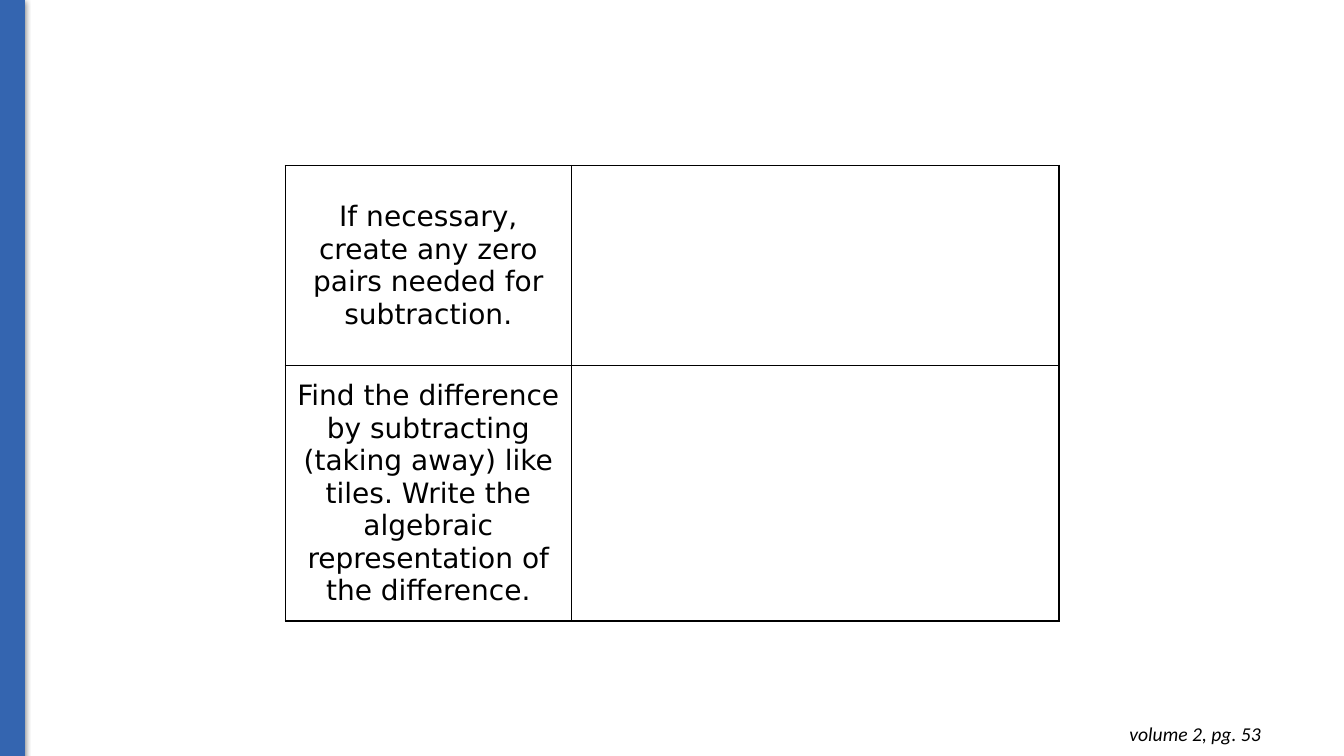
from dataclasses import dataclass

from lxml.etree import SubElement
from pptx import Presentation
from pptx.dml.color import RGBColor
from pptx.enum.shapes import MSO_SHAPE
from pptx.enum.text import MSO_ANCHOR, MSO_AUTO_SIZE, PP_ALIGN
from pptx.oxml import parse_xml
from pptx.oxml.ns import nsdecls, qn
from pptx.util import Cm, Pt


@dataclass(frozen=True)
class Theme:
    blue: RGBColor = RGBColor(0x34, 0x65, 0xB0)
    black: RGBColor = RGBColor(0, 0, 0)
    step_font: str = "DejaVu Sans"
    step_size: Pt = Pt(20)
    page_font: str = "Calibri"
    page_size: Pt = Pt(14)
    border: Pt = Pt(1)


theme = Theme()


def write(paragraph, text, align, font, size, italic=False):
    paragraph.alignment = align
    run = paragraph.add_run()
    run.text = text
    run.font.name = font
    run.font.size = size
    run.font.italic = italic
    run.font.color.rgb = theme.black


def outline_cell(cell):
    properties = cell._tc.get_or_add_tcPr()
    for position, side in enumerate(("lnL", "lnR", "lnT", "lnB")):
        edge = parse_xml(f'<a:{side} {nsdecls("a")} w="{theme.border}"/>')
        fill = SubElement(edge, qn("a:solidFill"))
        SubElement(fill, qn("a:srgbClr"), val=str(theme.black))
        properties.insert(position, edge)


presentation = Presentation()
presentation.slide_width = Cm(33.87)
presentation.slide_height = Cm(19.05)
slide = presentation.slides.add_slide(presentation.slide_layouts[6])

# Blue band on the left edge
band = slide.shapes.add_shape(MSO_SHAPE.RECTANGLE, 0, 0, Cm(0.61), Cm(19.08))
band.fill.solid()
band.fill.fore_color.rgb = theme.blue
band.line.color.rgb = theme.blue
band.line.width = Pt(0.75)
band.shadow.inherit = False
effects = band._element.spPr.find(qn("a:effectLst"))
shadow = SubElement(effects, qn("a:outerShdw"), blurRad=str(Pt(4.5)),
                    dist=str(Pt(1.5)), dir="5400000", rotWithShape="0")
shade = SubElement(shadow, qn("a:srgbClr"), val=str(theme.black))
SubElement(shade, qn("a:alpha"), val="50000")

# Page reference
page_reference = slide.shapes.add_textbox(Cm(24.71), Cm(17.93), Cm(7.32), Cm(1.12))
frame = page_reference.text_frame
frame.word_wrap = True
frame.auto_size = MSO_AUTO_SIZE.SHAPE_TO_FIT_TEXT
frame.margin_left = frame.margin_right = Cm(0.25)
frame.margin_top = frame.margin_bottom = Cm(0.25)
write(frame.paragraphs[0], "volume 2, pg. 53", PP_ALIGN.RIGHT,
      theme.page_font, theme.page_size, italic=True)

# Steps with room for answers
steps = (
    ("If necessary, create any zero pairs needed for subtraction.", Cm(5.05)),
    ("Find the difference by subtracting (taking away) like tiles. "
     "Write the algebraic representation of the difference.", Cm(6.43)),
)
column_widths = (Cm(7.21), Cm(12.29))
worksheet = slide.shapes.add_table(
    len(steps), len(column_widths), Cm(7.19), Cm(4.17),
    sum(column_widths), sum(height for _, height in steps)).table
worksheet.first_row = False
worksheet.horz_banding = False
for column, width in zip(worksheet.columns, column_widths):
    column.width = width
for row, (step, height) in zip(worksheet.rows, steps):
    row.height = height
    for cell in row.cells:
        cell.fill.background()
        cell.vertical_anchor = MSO_ANCHOR.MIDDLE
        cell.margin_left = cell.margin_right = Cm(0.18)
        cell.margin_top = cell.margin_bottom = 0
        outline_cell(cell)
    write(row.cells[0].text_frame.paragraphs[0], step, PP_ALIGN.CENTER,
          theme.step_font, theme.step_size)

presentation.save("out.pptx")
